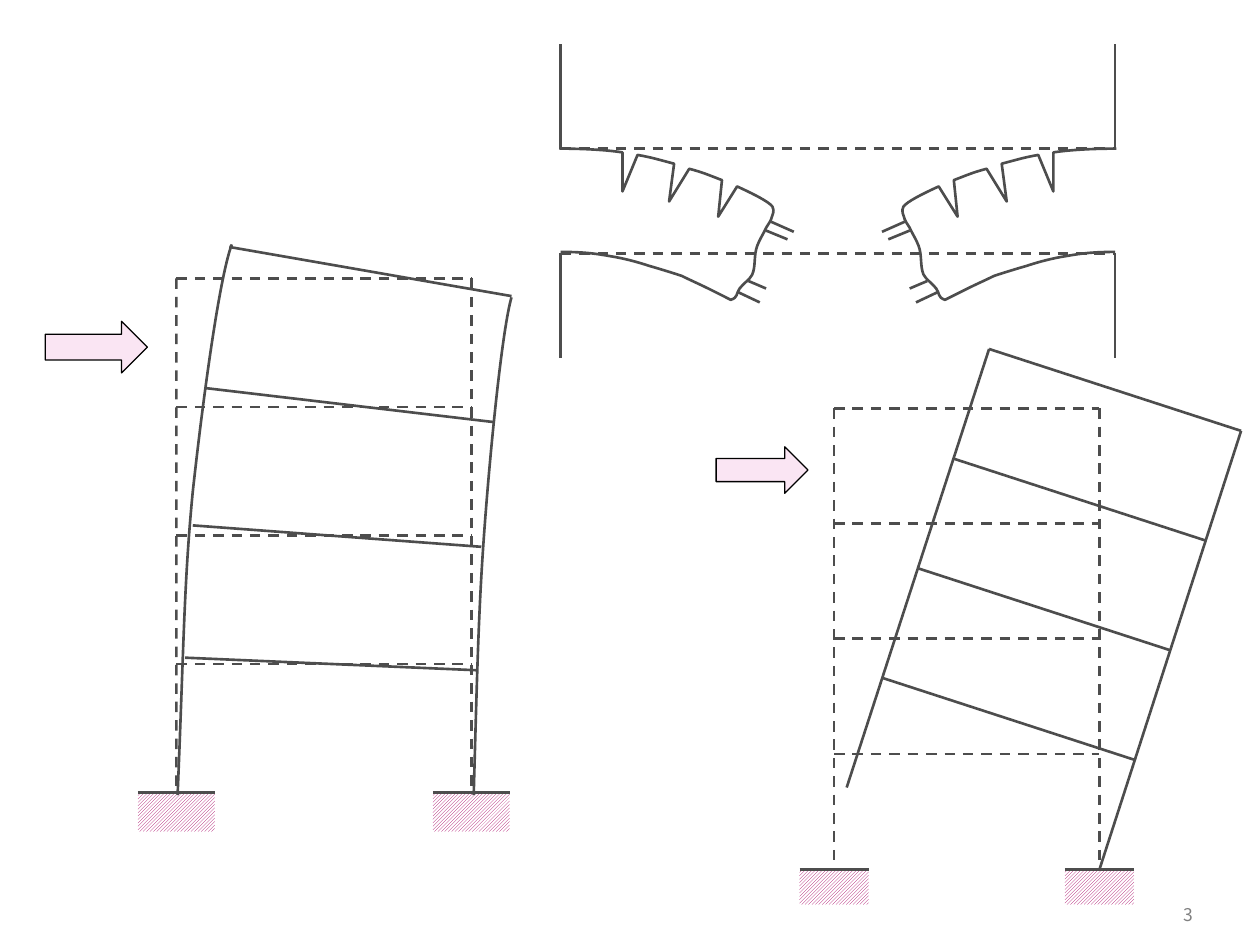
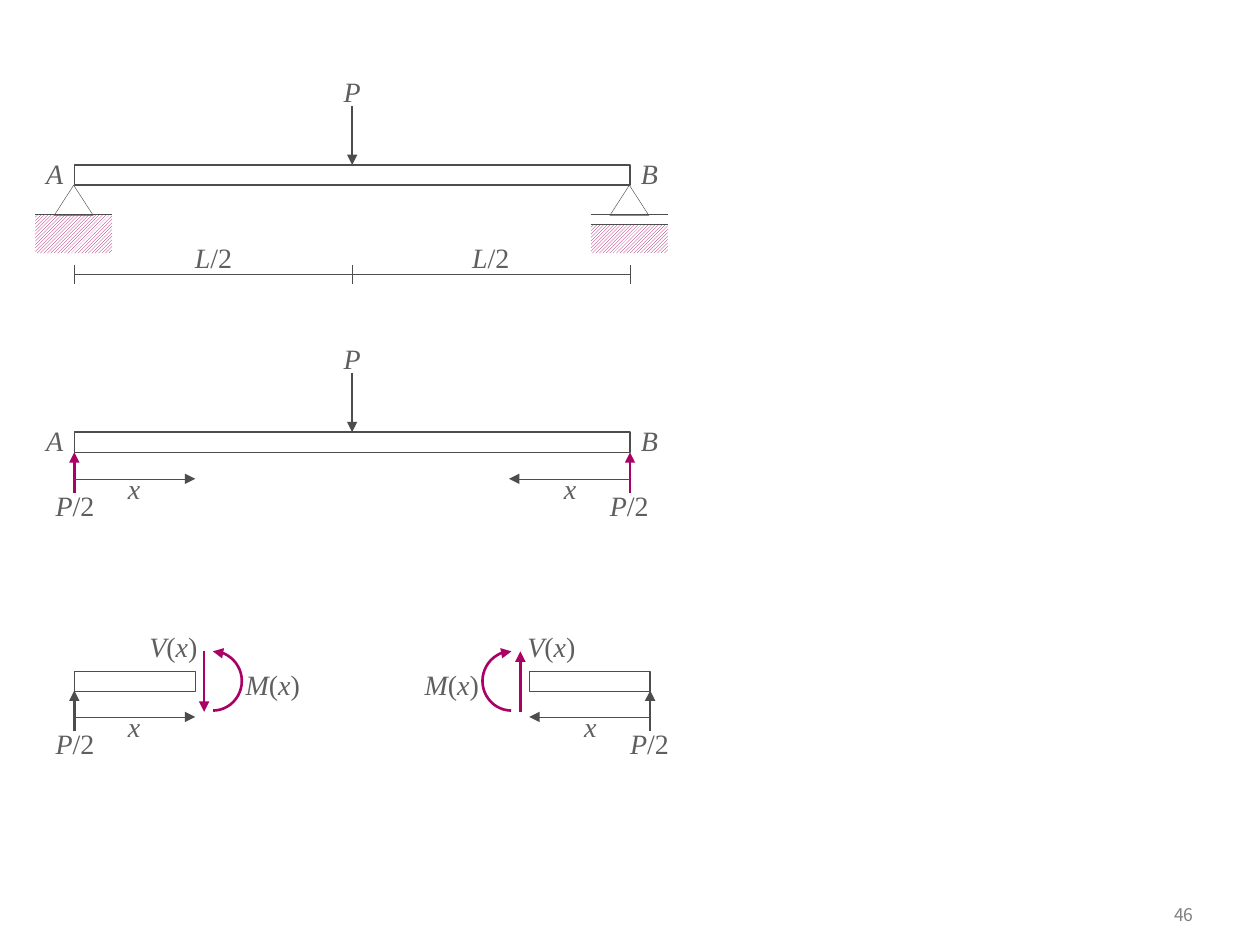
import dataclasses
import itertools

import pptx
import pptx.dml.color
import pptx.enum.dml
import pptx.enum.shapes
import pptx.enum.text
import pptx.util
from pptx.oxml.ns import qn
from lxml import etree

SHAPE = pptx.enum.shapes.MSO_SHAPE
ALIGN = pptx.enum.text.PP_ALIGN


@dataclasses.dataclass(frozen=True)
class Theme:
    ink: str = "4D4D4D"
    label: str = "5F5F5F"
    accent: str = "A90165"
    load: str = "D60093"
    black: str = "000000"
    white: str = "FFFFFF"
    gray: str = "808080"
    label_font: str = "Times New Roman"
    number_font: str = "Noto Sans CJK KR"
    label_size: int = 16
    number_size: int = 10
    thick: float = 1.5
    medium: float = 0.75
    thin: float = 0.25


THEME = Theme()

# ---- Content (positions in inches) ----
PAGE_NUMBERS = ("3", "46")
STOREYS = 4

# Upright frames: left column, roof level, base level, scale
FRAMES = {"bending": (1.4, 2.21, 6.29, 1), "overturning": (6.62, 3.24, 6.9, 0.9)}
BENT_FLOORS = [
    ((1.82, 1.96), (4.06, 2.35)),
    ((1.63, 3.08), (3.92, 3.35)),
    ((1.53, 4.17), (3.82, 4.34)),
    ((1.47, 5.22), (3.79, 5.32)),
]
BENT_COLUMNS = [
    [(1.41, 6.31), (1.46, 5.12, 1.46, 4.64, 1.53, 3.91), (1.61, 3.18, 1.74, 2.21, 1.84, 1.94)],
    [(3.76, 6.31), (3.79, 5.24, 3.8, 4.8, 3.85, 4.14), (3.9, 3.48, 3.99, 2.6, 4.06, 2.36)],
]
TILTED_TOP, TILTED_FOOT, TILTED_SPAN = (7.85, 2.77), (6.72, 6.25), (2, 0.65)

# Left half of the broken beam: two numbers are a corner, six are a Bézier curve
BEAM_AXIS_SUM = 13.3
BEAM_LEFT, BEAM_LEVELS, COLUMN_STUB = 4.45, (1.18, 2.01), 0.83
BROKEN_BEAM = [
    (4.44, 1.18), (4.63, 1.18, 4.81, 1.19, 4.94, 1.21), (4.94, 1.31, 4.94, 1.42, 4.94, 1.52),
    (5.06, 1.23), (5.17, 1.25, 5.2, 1.26, 5.35, 1.3), (5.31, 1.6),
    (5.47, 1.34), (5.58, 1.37, 5.6, 1.38, 5.73, 1.43), (5.7, 1.72),
    (5.85, 1.48), (5.98, 1.54, 6.1, 1.6, 6.13, 1.64),
    (6.15, 1.68, 6.13, 1.7, 6.12, 1.74), (6.11, 1.77, 6.08, 1.8, 6.07, 1.83),
    (6.05, 1.87, 6.03, 1.9, 6.01, 1.95), (5.98, 2.03, 6, 2.11, 5.97, 2.18),
    (5.95, 2.22, 5.9, 2.25, 5.87, 2.29), (5.84, 2.33, 5.86, 2.36, 5.8, 2.38),
    (5.76, 2.36, 5.68, 2.32, 5.62, 2.29), (5.56, 2.26, 5.47, 2.22, 5.41, 2.19),
    (5.35, 2.17, 5.22, 2.13, 5.15, 2.11), (5.09, 2.09, 4.99, 2.06, 4.88, 2.04),
    (4.76, 2.02, 4.67, 2, 4.45, 2),
]
REBARS = [
    ((6.12, 1.76), (6.3, 1.84)), ((6.08, 1.83), (6.25, 1.9)),
    ((5.94, 2.23), (6.08, 2.29)), ((5.86, 2.32), (6.03, 2.4)),
]

# Simply supported beam
SPAN_LEFT, SPAN, BEAM_DEPTH = 0.59, 4.41, 0.16
SUPPORT_LEFTS, SUPPORT_WIDTH = (0.28, 4.69), 0.61
SUPPORTED_TOP, FREE_BODY_TOP, CUT_TOP = 1.31, 3.43, 5.33
CUT_LENGTH, CUT_BOTTOM = 0.96, 5.48
FREE_BODY_SUM, CUT_SUM = 5.59, 5.75


# ---- Drawing helpers (each draws into a group or a slide) ----
def length(inches):
    return pptx.util.Cm(inches * 2.54)


def color(value):
    return pptx.dml.color.RGBColor.from_string(value)


def style_line(line, line_color, width):
    line.color.rgb = color(line_color)
    line.width = pptx.util.Pt(width)


def add_arrowhead(shape):
    etree.SubElement(shape.line._get_or_add_ln(), qn("a:tailEnd"), type="triangle")


def add_line(group, start, end, line_color=THEME.ink, width=THEME.thick,
             dashed=False, arrow=False, foot=None):
    """Draw a line; its end joins the top middle of the rectangle foot, if given."""
    connector = group.shapes.add_connector(
        pptx.enum.shapes.MSO_CONNECTOR.STRAIGHT, *map(length, (*start, *end)))
    style_line(connector.line, line_color, width)
    if dashed:
        connector.line.dash_style = pptx.enum.dml.MSO_LINE.DASH
    if arrow:
        add_arrowhead(connector)
    etree.SubElement(connector._element.spPr, qn("a:effectLst"))
    if foot is not None:
        connector.end_connect(foot, 0)


def add_shape(group, kind, box, line_color=THEME.ink, width=THEME.medium):
    shape = group.shapes.add_shape(kind, *map(length, box))
    shape.shadow.inherit = False
    shape.fill.background()
    style_line(shape.line, line_color, width)
    return shape


def add_text(group, text, box, font=THEME.label_font, size=THEME.label_size,
             text_color=THEME.label, align=ALIGN.CENTER, inset=0,
             anchor=pptx.enum.text.MSO_ANCHOR.TOP):
    """Write text in a box, with its letters in italics."""
    frame = group.shapes.add_textbox(*map(length, box)).text_frame
    frame.word_wrap = True
    frame.margin_left = frame.margin_right = length(inset)
    frame.vertical_anchor = anchor
    paragraph = frame.paragraphs[0]
    paragraph.alignment = align
    for italic, letters in itertools.groupby(text, str.isalpha):
        run = paragraph.add_run()
        run.text = "".join(letters)
        run.font.name, run.font.size = font, pptx.util.Pt(size)
        run.font.italic, run.font.color.rgb = italic, color(text_color)


def add_curve(group, outline, flip=lambda x: x):
    """Draw an open outline of corners and Bézier curves."""
    parts = [[(length(flip(x)), length(y)) for x, y in zip(part[::2], part[1::2])]
             for part in outline]
    builder = group.shapes.build_freeform(*parts[0][-1])
    builder.add_line_segments([part[-1] for part in parts[1:]], close=False)
    shape = builder.convert_to_shape()
    shape.shadow.inherit = False
    shape.fill.background()
    style_line(shape.line, THEME.ink, THEME.thick)
    # Bend the segments that have control points
    segments = list(shape._element.iter(qn("a:lnTo")))
    for segment, part in zip(segments, parts[1:]):
        if len(part) == 3:
            segment.tag = qn("a:cubicBezTo")
            for place, (x, y) in enumerate(part[:2]):
                point = etree.Element(qn("a:pt"), x=str(x - shape.left), y=str(y - shape.top))
                segment.insert(place, point)


def mirror(axis_sum):
    """Return a rule that reflects the left edge of something of a given width."""
    return lambda x, width=0: axis_sum - x - width


def keep(x, width=0):
    return x


def add_ground(group, left, top, width, height, line_width=THEME.thick):
    ground = add_shape(group, SHAPE.RECTANGLE, (left, top, width, height))
    ground.fill.patterned()
    ground.fill.pattern = pptx.enum.dml.MSO_PATTERN.LIGHT_UPWARD_DIAGONAL
    ground.fill.fore_color.rgb = color(THEME.accent)
    ground.fill.back_color.rgb = color(THEME.white)
    ground.line.fill.background()
    add_line(group, (left, top), (left + width, top), width=line_width)
    return ground


# ---- Slide 1: frames and broken beam ----
def add_upright_frame(group, left, roof, base, scale):
    bay, storey, width = 2.34 * scale, (base - roof) / STOREYS, 0.61 * scale
    grounds = []
    for x in (left, left + bay):
        ground = add_ground(group, x - width / 2, base, width, 0.31 * scale)
        add_line(group, (x, roof), (x, base), dashed=True, foot=ground)
        grounds.append(ground)
    for floor in range(STOREYS):
        y = roof + floor * storey
        add_line(group, (left, y), (left + bay, y), dashed=True)
    load = add_shape(group, SHAPE.RIGHT_ARROW,
                     (left - 1.04 * scale, roof + 0.34 * scale, 0.81 * scale, 0.41 * scale),
                     THEME.black)
    load.fill.solid()
    load.fill.fore_color.rgb = color(THEME.load)
    rgb = load._element.spPr.find(qn("a:solidFill")).find(qn("a:srgbClr"))
    etree.SubElement(rgb, qn("a:alpha"), val="10000")
    return grounds


def add_tilted_frame(group, pivot):
    (top_x, top_y), (foot_x, foot_y), (span_x, span_y) = TILTED_TOP, TILTED_FOOT, TILTED_SPAN
    add_line(group, TILTED_TOP, TILTED_FOOT)
    add_line(group, (top_x + span_x, top_y + span_y),
             (foot_x + span_x, foot_y + span_y), foot=pivot)
    for floor in range(STOREYS):
        x = top_x + (foot_x - top_x) * floor / STOREYS
        y = top_y + (foot_y - top_y) * floor / STOREYS
        add_line(group, (x, y), (x + span_x, y + span_y))


def add_broken_beam(group):
    upper, lower = BEAM_LEVELS
    for y in BEAM_LEVELS:
        add_line(group, (BEAM_LEFT, y), (BEAM_AXIS_SUM - BEAM_LEFT, y), dashed=True)
    for flip in (keep, mirror(BEAM_AXIS_SUM)):
        x = flip(BEAM_LEFT)
        add_line(group, (x, upper), (x, upper - COLUMN_STUB))
        add_line(group, (x, lower + COLUMN_STUB), (x, lower))
        for (x1, y1), (x2, y2) in REBARS:
            add_line(group, (flip(x1), y1), (flip(x2), y2))
        add_curve(group, BROKEN_BEAM, flip)


def build_frames_slide(slide):
    overturning, beam, bending = (slide.shapes.add_group_shape() for _ in range(3))
    grounds = add_upright_frame(overturning, *FRAMES["overturning"])
    add_tilted_frame(overturning, grounds[1])
    add_broken_beam(beam)
    add_upright_frame(bending, *FRAMES["bending"])
    for start, end in BENT_FLOORS:
        add_line(bending, start, end)
    for column in BENT_COLUMNS:
        add_curve(bending, column)


# ---- Slide 2: beam statics ----
def add_loaded_beam(group, top):
    middle = SPAN_LEFT + SPAN / 2
    beam = add_shape(group, SHAPE.RECTANGLE, (SPAN_LEFT, top, SPAN, BEAM_DEPTH))
    for text, left in (("A", 0.2), ("B", 4.92)):
        add_text(group, text, (left, top - 0.12, 0.47, 0.37))
    add_text(group, "P", (2.64, top - 0.77, 0.31, 0.37))
    add_line(group, (middle, top - 0.47), (middle, top), arrow=True, foot=beam)


def add_supports(group, top):
    bottom = top + BEAM_DEPTH
    pin, roller = SUPPORT_LEFTS
    ground = bottom + 0.23
    add_ground(group, pin, ground, SUPPORT_WIDTH, 0.31, THEME.thin)
    add_ground(group, roller, ground + 0.08, SUPPORT_WIDTH, 0.23, THEME.thin)
    add_line(group, (roller, ground), (roller + SUPPORT_WIDTH, ground), width=THEME.thin)
    for left in SUPPORT_LEFTS:
        add_shape(group, SHAPE.ISOSCELES_TRIANGLE, (left + 0.15, bottom, 0.31, 0.24),
                  width=THEME.thin)


def add_span_dimension(group, y):
    add_line(group, (SPAN_LEFT, y), (SPAN_LEFT + SPAN, y), width=THEME.thin)
    for half in range(3):
        x = SPAN_LEFT + half * SPAN / 2
        add_line(group, (x, y - 0.08), (x, y + 0.07), width=THEME.thin)
    for left in (1.38, 3.58):
        add_text(group, "L/2", (left, y - 0.32, 0.63, 0.37))


def add_reaction(group, flip, bottom, reaction_color):
    x, y = flip(SPAN_LEFT), bottom + 0.21
    add_line(group, (x, bottom + 0.32), (x, bottom), reaction_color, arrow=True)
    add_line(group, (x, y), (flip(SPAN_LEFT + CUT_LENGTH), y), width=THEME.thin, arrow=True)
    add_text(group, "x", (flip(0.9, 0.33), bottom + 0.1, 0.33, 0.37))
    add_text(group, "P/2", (flip(0.28, 0.63), bottom + 0.24, 0.63, 0.37))


def add_cut_part(group, flip, mirrored):
    top, x = CUT_TOP, flip(SPAN_LEFT)
    add_shape(group, SHAPE.RECTANGLE, (flip(SPAN_LEFT, CUT_LENGTH), top, CUT_LENGTH, BEAM_DEPTH))
    add_reaction(group, flip, CUT_BOTTOM, THEME.ink)
    add_line(group, (x, CUT_BOTTOM + 0.13), (x, CUT_BOTTOM + 0.29), width=THEME.thin)
    shear = [(flip(1.62), top - 0.16), (flip(1.62), top + 0.32)]
    start, end = reversed(shear) if mirrored else shear
    add_line(group, start, end, THEME.accent, arrow=True)
    moment = add_shape(group, SHAPE.ARC, (flip(1.46, 0.46), top - 0.16, 0.46, 0.47),
                       THEME.accent, THEME.thick)
    moment.adjustments[0], moment.adjustments[1] = 162.37, 54
    add_arrowhead(moment)
    transform = moment._element.spPr.find(qn("a:xfrm"))
    transform.set("flipV", "1")
    if mirrored:
        transform.set("flipH", "1")
    add_text(group, "M(x)", (flip(1.85, 0.63), top - 0.08, 0.63, 0.37))
    add_text(group, "V(x)", (flip(0.98, 0.79), top - 0.38, 0.79, 0.37))


def build_beam_slide(slide):
    left_cut, supported, free_body, right_cut = (
        slide.shapes.add_group_shape() for _ in range(4))
    add_cut_part(left_cut, keep, False)
    add_loaded_beam(supported, SUPPORTED_TOP)
    add_supports(supported, SUPPORTED_TOP)
    add_span_dimension(supported, 2.18)
    add_loaded_beam(free_body, FREE_BODY_TOP)
    for flip in (keep, mirror(FREE_BODY_SUM)):
        add_reaction(free_body, flip, FREE_BODY_TOP + BEAM_DEPTH, THEME.accent)
    add_cut_part(right_cut, mirror(CUT_SUM), True)


def main():
    presentation = pptx.Presentation()
    presentation.slide_width, presentation.slide_height = length(10), length(7.5)
    blank = presentation.slide_layouts[6]
    for number, build in zip(PAGE_NUMBERS, (build_frames_slide, build_beam_slide)):
        slide = presentation.slides.add_slide(blank)
        add_text(slide, number, (8.86, 7.09, 0.71, 0.33), font=THEME.number_font,
                 size=THEME.number_size, text_color=THEME.gray, align=ALIGN.RIGHT,
                 inset=0.1, anchor=pptx.enum.text.MSO_ANCHOR.MIDDLE)
        build(slide)
    presentation.save("out.pptx")


if __name__ == "__main__":
    main()
